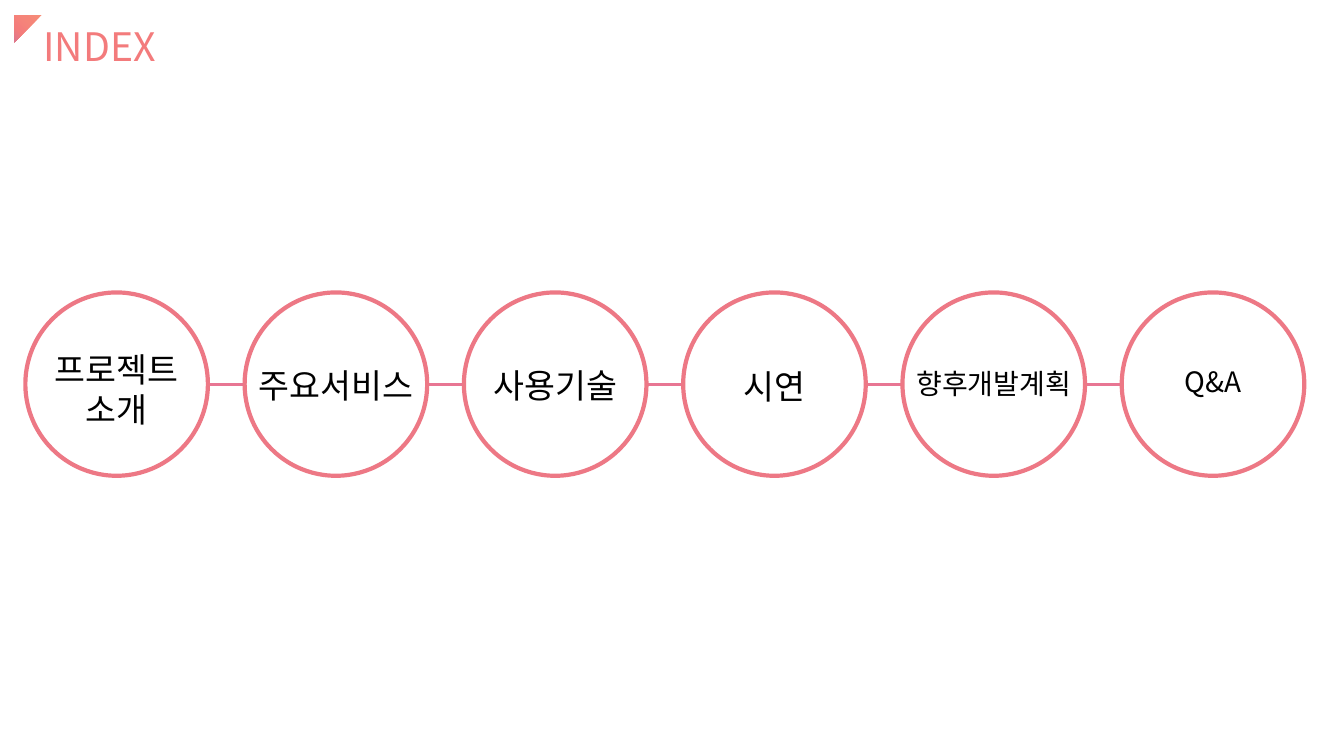
import copy

from lxml import etree
from pptx import Presentation
from pptx import util as u
from pptx.dml.color import RGBColor
from pptx.enum import shapes, text
from pptx.oxml.ns import qn

FONT = "Noto Sans CJK KR"
CIRCLE_LEFT, CIRCLE_TOP = 0.64, 7.37
CIRCLE_WIDTH, CIRCLE_HEIGHT = 4.6, 4.62
CIRCLE_PITCH = 5.526
AXIS = CIRCLE_TOP + CIRCLE_HEIGHT / 2

# wording, size in points, then top, width and height in cm
TOPICS = [
    ("프로젝트\n소개", 24, 8.66, 3.63, 2.31),
    ("주요서비스", 24, 9.07, 4.42, 1.27),
    ("사용기술", 24, 9.07, 3.63, 1.27),
    ("시연", 24, 9.09, 2.08, 1.27),
    ("향후개발계획", 20, 9.12, 4.42, 1.12),
    ("Q&A", 20, 9.07, 1.98, 1.12),
]


def color(value):
    return RGBColor.from_string(value)


def set_gradient(fill, stops, clockwise_angle):
    """Fill with (position, colour) stops along the given angle."""
    fill.gradient()
    fill.gradient_angle = 360 - clockwise_angle
    last_stop = fill.gradient_stops[-1]._gs
    for _ in stops[2:]:
        last_stop.addprevious(copy.deepcopy(last_stop))
    for stop, (position, value) in zip(fill.gradient_stops, stops):
        stop.position = position
        stop.color.rgb = color(value)


def set_font(run, size):
    run.font.size = u.Pt(size)
    run.font.name = FONT
    east_asian = etree.SubElement(run._r.get_or_add_rPr(), qn("a:ea"))
    east_asian.set("typeface", FONT)


def fit_frame(frame):
    frame.word_wrap = False
    frame.auto_size = text.MSO_AUTO_SIZE.SHAPE_TO_FIT_TEXT
    frame.vertical_anchor = text.MSO_ANCHOR.TOP


def format_title(title):
    title.left, title.top = u.Cm(0.84), u.Cm(0.43)
    title.width, title.height = u.Cm(3.38), u.Cm(1.45)
    frame = title.text_frame
    frame.text = "INDEX"
    fit_frame(frame)
    paragraph = frame.paragraphs[0]
    paragraph.alignment = text.PP_ALIGN.LEFT
    run = paragraph.runs[0]
    set_gradient(run.font.fill, [(0, "F79975"), (0.74, "F37B7C"),
                                 (0.83, "EA778E"), (1, "D57793")], 90)
    set_font(run, 28)


def add_corner(slide):
    corner = slide.shapes.add_shape(shapes.MSO_SHAPE.RIGHT_TRIANGLE,
                                    u.Cm(0.36), u.Cm(0.38), u.Cm(0.69), u.Cm(0.69))
    corner.rotation = 90
    corner.shadow.inherit = False
    corner.line.fill.background()
    set_gradient(corner.fill, [(0, "F78D77"), (0.35, "F58579"),
                               (0.71, "F47C7B"), (1, "DB7791")], 45)


def add_axis(slide):
    """Draw the line that joins the first circle to the last."""
    start = CIRCLE_LEFT + CIRCLE_WIDTH
    end = CIRCLE_LEFT + CIRCLE_PITCH * (len(TOPICS) - 1)
    line = slide.shapes.add_connector(shapes.MSO_CONNECTOR.STRAIGHT, u.Cm(start),
                                      u.Cm(AXIS), u.Cm(end), u.Cm(AXIS))
    line.line.color.rgb = color("E87693")
    line.line.width = u.Pt(2.25)
    etree.SubElement(line._element.spPr, qn("a:effectLst"))


def add_circle(slide, left):
    circle = slide.shapes.add_shape(shapes.MSO_SHAPE.OVAL, u.Cm(left), u.Cm(CIRCLE_TOP),
                                    u.Cm(CIRCLE_WIDTH), u.Cm(CIRCLE_HEIGHT))
    circle.shadow.inherit = False
    circle.fill.solid()
    circle.fill.fore_color.rgb = color("FFFFFF")
    circle.line.color.rgb = color("ED7885")
    circle.line.width = u.Pt(3)


def add_label(slide, center, wording, size, top, width, height):
    box = slide.shapes.add_textbox(u.Cm(center - width / 2), u.Cm(top),
                                   u.Cm(width), u.Cm(height))
    frame = box.text_frame
    frame.text = wording
    fit_frame(frame)
    for paragraph in frame.paragraphs:
        paragraph.alignment = text.PP_ALIGN.CENTER
        for run in paragraph.runs:
            run.font.color.rgb = color("000000")
            set_font(run, size)


def main():
    presentation = Presentation()
    presentation.slide_width, presentation.slide_height = u.Cm(33.87), u.Cm(19.05)
    slide = presentation.slides.add_slide(presentation.slide_layouts[5])
    format_title(slide.shapes.title)
    add_corner(slide)
    add_axis(slide)
    for index, topic in enumerate(TOPICS):
        left = CIRCLE_LEFT + index * CIRCLE_PITCH
        add_circle(slide, left)
        add_label(slide, left + CIRCLE_WIDTH / 2, *topic)
    presentation.save("out.pptx")


if __name__ == "__main__":
    main()
